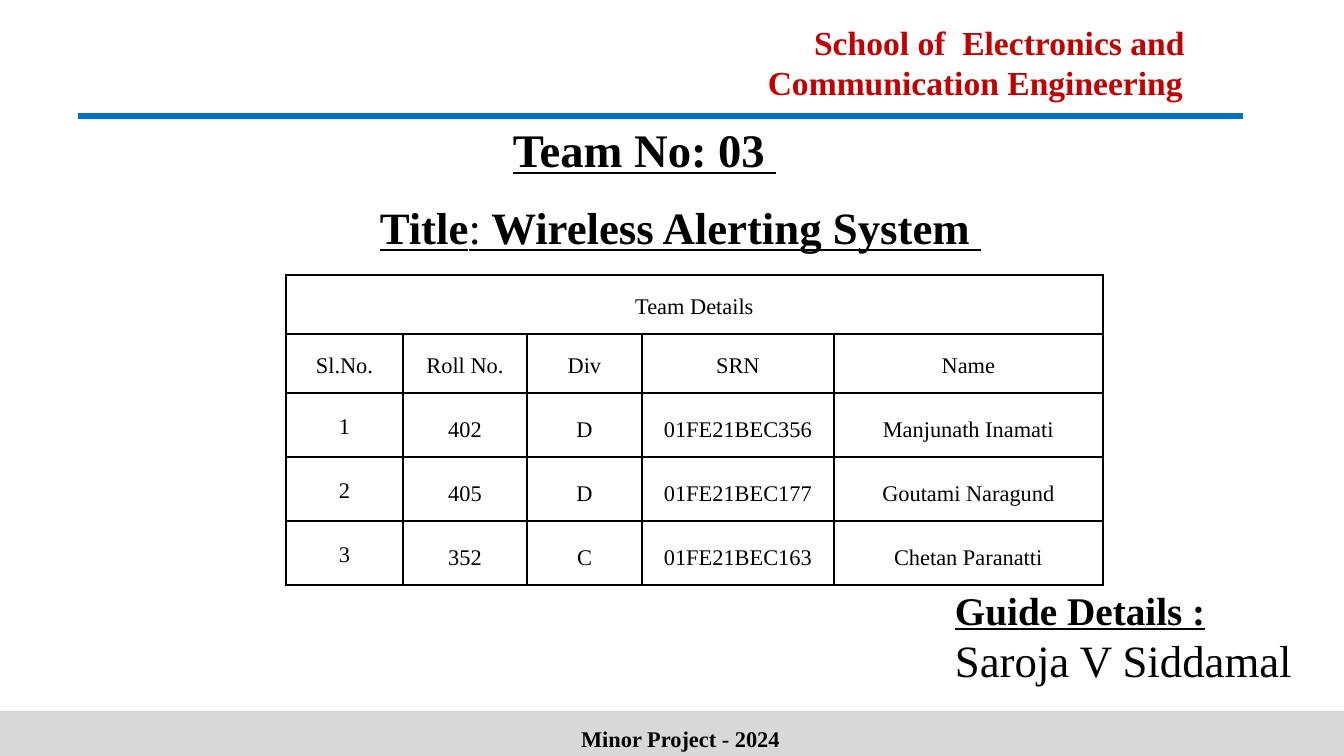
from dataclasses import dataclass

from lxml.etree import SubElement
from pptx import Presentation
from pptx.dml.color import RGBColor
from pptx.enum.shapes import MSO_CONNECTOR, MSO_SHAPE
from pptx.enum.text import MSO_ANCHOR, PP_ALIGN
from pptx.oxml.ns import qn
from pptx.util import Emu, Pt

EMU_PER_PX = 914400 / 134.4


@dataclass(frozen=True)
class Theme:
    font: str = "Times New Roman"
    ink: str = "000000"
    school: str = "C00000"
    rule: str = "0070C0"
    band: str = "D8D8D8"
    school_size: int = 18
    team_size: int = 25
    title_size: int = 24
    guide_size: int = 21
    small_size: int = 12


THEME = Theme()


def px(length):
    return Emu(round(length * EMU_PER_PX))


def rgb(colour):
    return RGBColor.from_string(colour)


def write(paragraph, text, *, size, colour=THEME.ink, bold=False,
          underline=False, align=PP_ALIGN.CENTER, spacing=None, indent=0):
    """Append one formatted run to a paragraph."""
    paragraph.alignment = align
    if spacing:
        paragraph.line_spacing = spacing
    if indent:
        paragraph._p.get_or_add_pPr().set("marL", str(px(indent)))
    run = paragraph.add_run()
    run.text = text
    font = run.font
    font.name, font.size = THEME.font, Pt(size)
    font.bold, font.underline = bold, underline
    font.color.rgb = rgb(colour)


def add_text_frame(slide, left, top, width, height, *, pad=13,
                   anchor=MSO_ANCHOR.TOP):
    frame = slide.shapes.add_textbox(
        px(left), px(top), px(width), px(height)).text_frame
    frame.word_wrap = True
    frame.vertical_anchor = anchor
    frame.margin_left = frame.margin_right = px(13)
    frame.margin_top = frame.margin_bottom = px(pad)
    return frame


def add_rule(slide, left, right, y):
    rule = slide.shapes.add_connector(
        MSO_CONNECTOR.STRAIGHT, px(left), px(y), px(right), px(y))
    rule.line.color.rgb = rgb(THEME.rule)
    rule.line.width = Pt(3)
    SubElement(rule._element.spPr, qn("a:effectLst"))


def add_band(slide, left, top, width, height):
    band = slide.shapes.add_shape(
        MSO_SHAPE.RECTANGLE, px(left), px(top), px(width), px(height))
    band.shadow.inherit = False
    band.fill.solid()
    band.fill.fore_color.rgb = rgb(THEME.band)
    band.line.fill.background()


def format_cell(cell):
    cell.vertical_anchor = MSO_ANCHOR.MIDDLE
    cell.margin_left = cell.margin_right = px(13)
    cell.margin_top = cell.margin_bottom = px(13)
    properties = cell._tc.get_or_add_tcPr()
    for side in ("a:lnL", "a:lnR", "a:lnT", "a:lnB"):
        border = SubElement(properties, qn(side), w=str(Pt(1)))
        fill = SubElement(border, qn("a:solidFill"))
        SubElement(fill, qn("a:srgbClr"), val=THEME.ink)
    cell.fill.background()


def add_team_table(slide, left, top, column_widths, row_heights, rows):
    table = slide.shapes.add_table(
        len(rows), len(column_widths), px(left), px(top),
        px(sum(column_widths)), px(sum(row_heights))).table
    table.first_row = table.horz_banding = False
    for column, width in zip(table.columns, column_widths):
        column.width = px(width)
    for row, height in zip(table.rows, row_heights):
        row.height = px(height)
    for cell in table.iter_cells():
        format_cell(cell)
    table.cell(0, 0).merge(table.cell(0, len(column_widths) - 1))
    for r, values in enumerate(rows):
        for c, value in enumerate(values):
            # Member details sit on looser lines than headings and numbers
            write(table.cell(r, c).text_frame.paragraphs[0], value,
                  size=THEME.small_size,
                  spacing=1.4 if r > 1 and c > 0 else 1.2)


def main():
    presentation = Presentation()
    presentation.slide_width, presentation.slide_height = px(1344), px(756)
    slide = presentation.slides.add_slide(presentation.slide_layouts[6])

    # Rule and footer band
    add_rule(slide, 78, 1243, 116)
    add_band(slide, 0, 711, 1344, 45)

    # School name
    school = add_text_frame(slide, 695, 15, 561, 93, pad=7)
    school_format = dict(size=THEME.school_size, colour=THEME.school, bold=True)
    write(school.paragraphs[0], "School of  Electronics and", indent=48,
          **school_format)
    write(school.add_paragraph(), "Communication Engineering", **school_format)

    # Team number and project title
    team = add_text_frame(slide, 500, 108, 323, 83)
    write(team.paragraphs[0], "Team No: 03 ", size=THEME.team_size, bold=True,
          underline=True, align=PP_ALIGN.JUSTIFY)
    title = add_text_frame(slide, 98, 187, 1165, 136).paragraphs[0]
    for text, bold in (("Title", True), (":", False),
                       (" Wireless Alerting System ", True)):
        write(title, text, size=THEME.title_size, bold=bold, underline=True)

    # Guide
    guide = add_text_frame(slide, 942, 573, 427, 129)
    write(guide.paragraphs[0], "Guide Details :", size=THEME.guide_size,
          bold=True, underline=True, align=PP_ALIGN.JUSTIFY)
    write(guide.add_paragraph(), "Saroja V Siddamal", size=THEME.title_size,
          align=PP_ALIGN.JUSTIFY)

    # Footer
    footer = add_text_frame(slide, 434, 712, 493, 54, pad=7,
                            anchor=MSO_ANCHOR.MIDDLE)
    write(footer.paragraphs[0], "Minor Project - 2024", size=THEME.small_size,
          bold=True)

    # Team members
    add_team_table(
        slide, 286, 275, (117, 124, 115, 192, 269), (59, 59, 64, 64, 64),
        [("Team Details",),
         ("Sl.No.", "Roll No.", "Div", "SRN", "Name"),
         ("1", "402", "D", "01FE21BEC356", "Manjunath Inamati"),
         ("2", "405", "D", "01FE21BEC177", "Goutami Naragund"),
         ("3", "352", "C", "01FE21BEC163", "Chetan Paranatti")])

    presentation.save("out.pptx")


if __name__ == "__main__":
    main()
